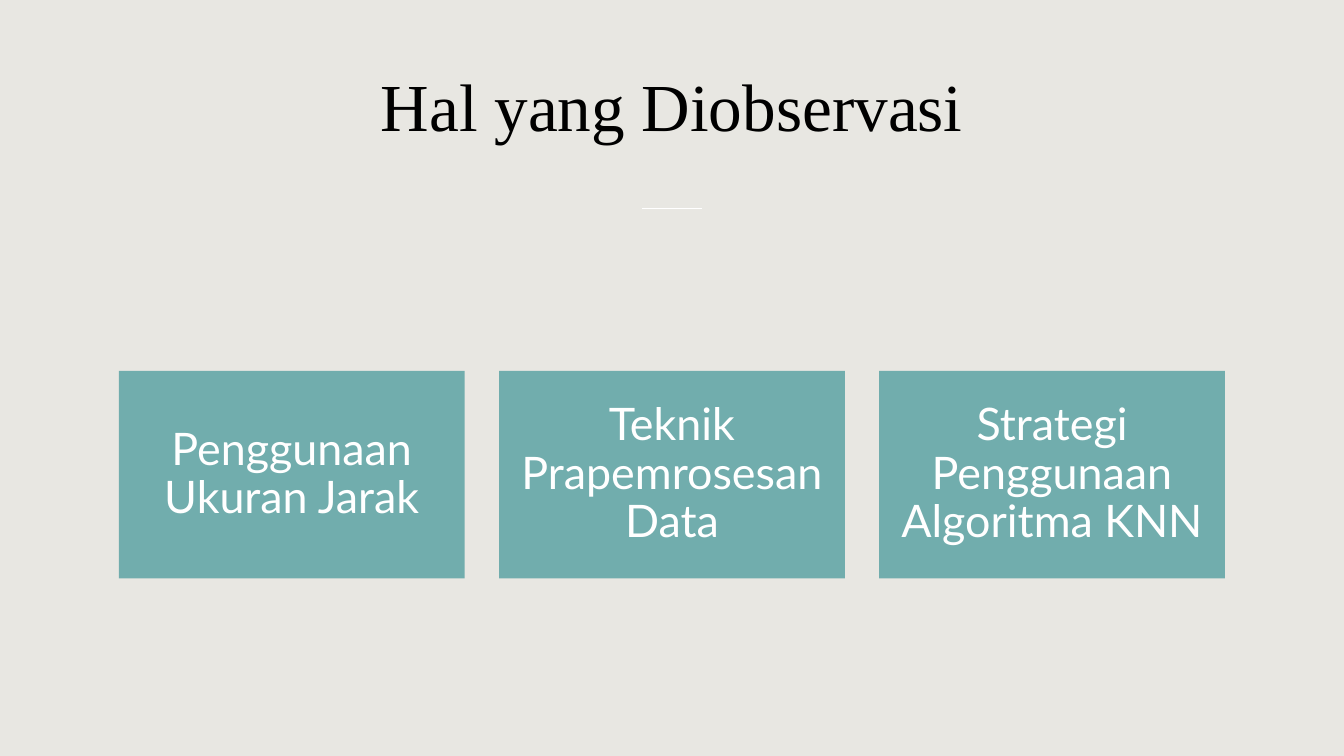
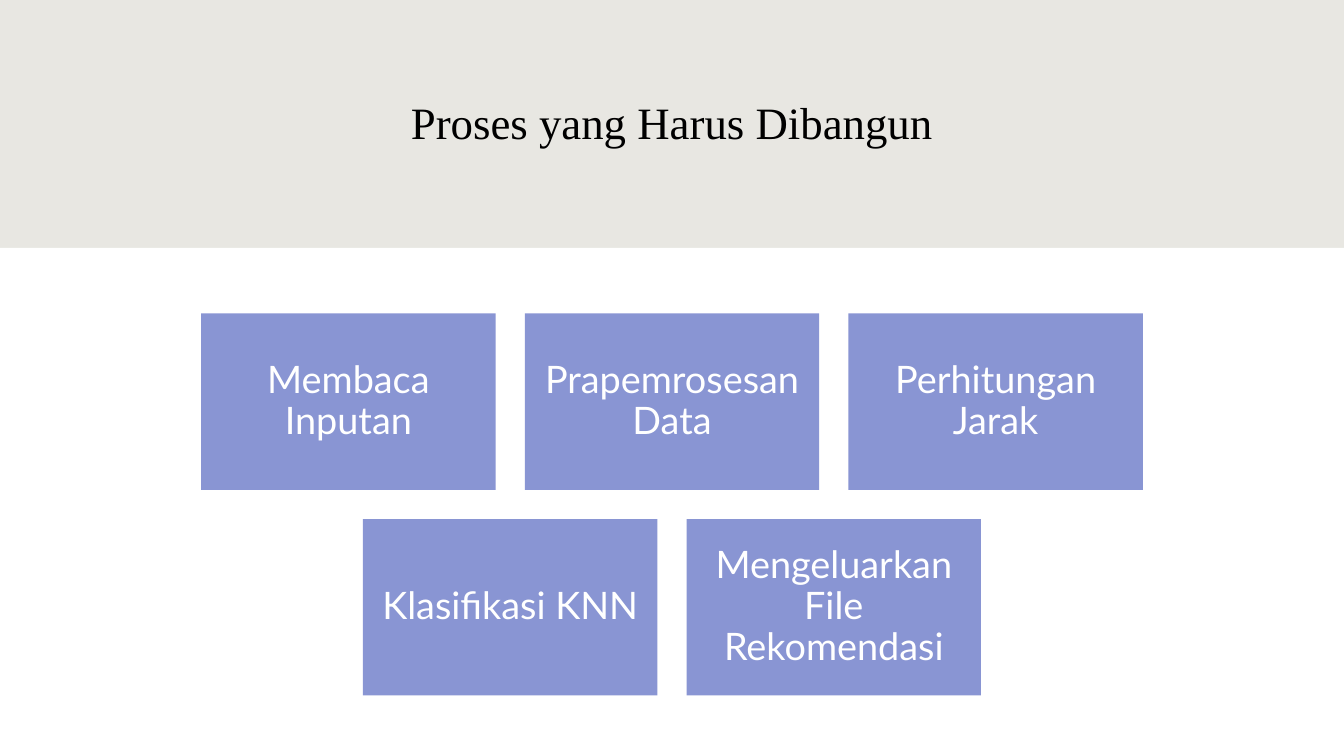
import pptx
import pptx.dml.color
import pptx.enum.shapes
import pptx.enum.text
import pptx.oxml.xmlchemy
import pptx.util
from lxml import etree
from pptx.dml.color import RGBColor
from pptx.util import Inches

SLIDE_WIDTH = 13.33
SLIDE_HEIGHT = 7.5
BACKGROUND = RGBColor(0xE8, 0xE7, 0xE2)
WHITE = RGBColor(0xFF, 0xFF, 0xFF)
BLACK = RGBColor(0x00, 0x00, 0x00)
TEAL = RGBColor(0x71, 0xAD, 0xAD)
PERIWINKLE = RGBColor(0x89, 0x95, 0xD3)
TITLE_FONT = "Times New Roman"
BODY_FONT = "Lato"
DRAWING_NAMESPACE = "http://schemas.openxmlformats.org/drawingml/2006/main"


def write_text(shape, text, font_name, size, color):
    frame = shape.text_frame
    frame.word_wrap = True
    frame.vertical_anchor = pptx.enum.text.MSO_ANCHOR.MIDDLE
    paragraph = frame.paragraphs[0]
    paragraph.text = text
    paragraph.alignment = pptx.enum.text.PP_ALIGN.CENTER
    paragraph.font.name = font_name
    paragraph.font.size = pptx.util.Pt(size)
    paragraph.font.color.rgb = color
    return frame


def add_title(slide, text, left, top, height, size):
    width = SLIDE_WIDTH - 2 * left
    title = slide.shapes.add_textbox(Inches(left), Inches(top), Inches(width), Inches(height))
    write_text(title, text, TITLE_FONT, size, BLACK)


def add_rectangle(slide, left, top, width, height, color):
    rectangle = slide.shapes.add_shape(
        pptx.enum.shapes.MSO_SHAPE.RECTANGLE,
        Inches(left), Inches(top), Inches(width), Inches(height),
    )
    rectangle.shadow.inherit = False
    rectangle.fill.solid()
    rectangle.fill.fore_color.rgb = color
    rectangle.line.fill.background()
    return rectangle


def add_divider(slide, top, width):
    left = (SLIDE_WIDTH - width) / 2
    divider = slide.shapes.add_connector(
        pptx.enum.shapes.MSO_CONNECTOR.STRAIGHT,
        Inches(left), Inches(top), Inches(left + width), Inches(top),
    )
    divider.line.color.rgb = WHITE
    divider.line.width = pptx.util.Pt(1)
    etree.SubElement(divider.element.spPr, f"{{{DRAWING_NAMESPACE}}}effectLst")


def add_card(slide, text, left, top, width, height, color, size, inset):
    card = add_rectangle(slide, left, top, width, height, color)
    frame = write_text(card, text, BODY_FONT, size, WHITE)
    frame.paragraphs[0].line_spacing = 0.9
    frame.margin_left = frame.margin_right = Inches(inset)
    frame.margin_top = frame.margin_bottom = Inches(inset)


def add_card_rows(slide, rows, top, width, height, gap, color, size, inset):
    for row_index, texts in enumerate(rows):
        row_width = len(texts) * width + (len(texts) - 1) * gap
        row_left = (SLIDE_WIDTH - row_width) / 2
        row_top = top + row_index * (height + gap)
        for column, text in enumerate(texts):
            left = row_left + column * (width + gap)
            add_card(slide, text, left, row_top, width, height, color, size, inset)


def build_observation_slide(slide):
    add_title(slide, "Hal yang Diobservasi", left=1.08, top=0.28, height=1.52, size=48)
    add_divider(slide, top=2.07, width=0.59)
    rows = [["Penggunaan Ukuran Jarak", "Teknik Prapemrosesan Data", "Strategi Penggunaan Algoritma KNN"]]
    add_card_rows(slide, rows, top=3.68, width=3.43, height=2.06, gap=0.34,
                  color=TEAL, size=32, inset=0.13)


def build_process_slide(slide):
    add_title(slide, "Proses yang Harus Dibangun", left=1.18, top=0.59, height=1.23, size=32)
    panel_top = 2.46
    add_rectangle(slide, 0, panel_top, SLIDE_WIDTH, SLIDE_HEIGHT - panel_top, WHITE)
    rows = [
        ["Membaca Inputan", "Prapemrosesan Data", "Perhitungan Jarak"],
        ["Klasifikasi KNN", "Mengeluarkan File Rekomendasi"],
    ]
    add_card_rows(slide, rows, top=3.11, width=2.92, height=1.75, gap=0.29,
                  color=PERIWINKLE, size=27, inset=0.11)


def main():
    presentation = pptx.Presentation()
    presentation.slide_width = Inches(SLIDE_WIDTH)
    presentation.slide_height = Inches(SLIDE_HEIGHT)
    background = presentation.slide_master.background.fill
    background.solid()
    background.fore_color.rgb = BACKGROUND
    blank_layout = presentation.slide_layouts[6]
    for build_slide in (build_observation_slide, build_process_slide):
        build_slide(presentation.slides.add_slide(blank_layout))
    presentation.save("out.pptx")


if __name__ == "__main__":
    main()
